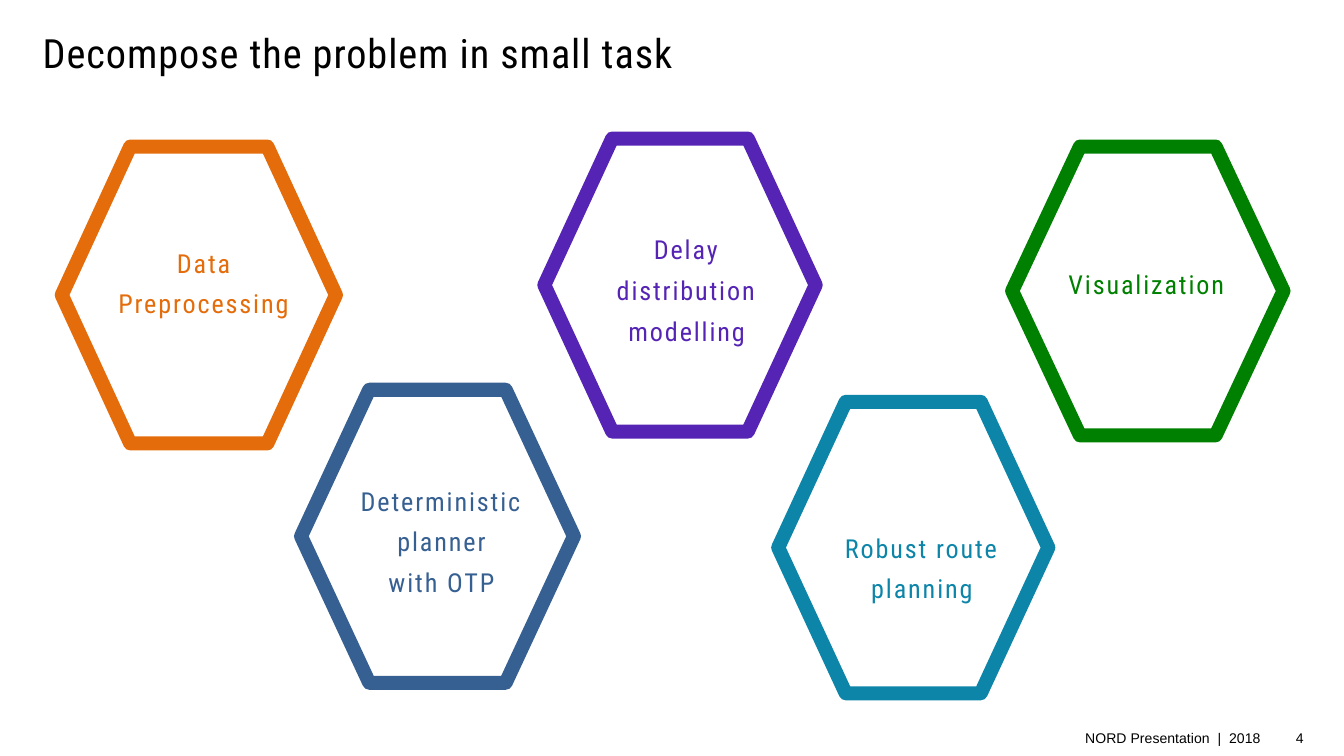
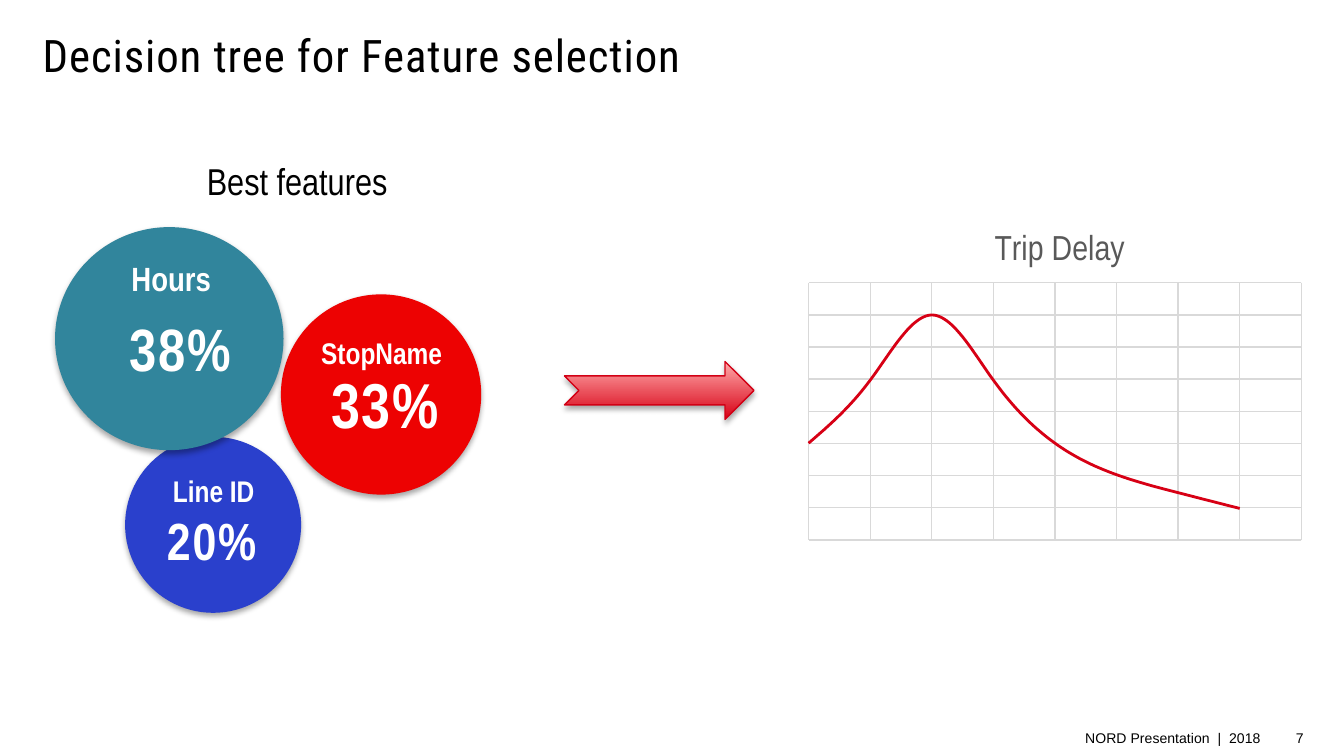
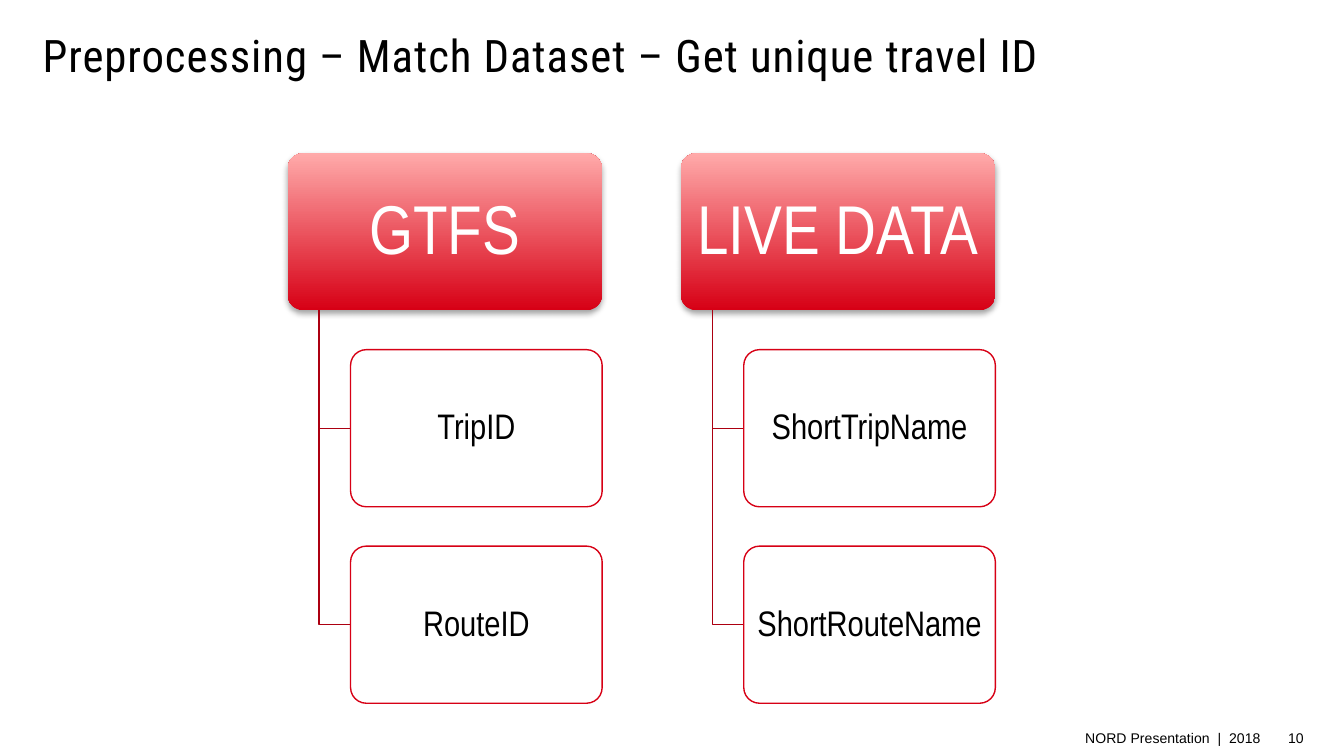
from dataclasses import dataclass
from typing import NamedTuple

from lxml import etree
from pptx import Presentation
from pptx import util as u
from pptx.chart.data import XyChartData
from pptx.dml.color import RGBColor
from pptx.enum import chart as charts, shapes, text
from pptx.oxml.ns import qn

HEADING_FONT = "Roboto Condensed"
BODY_FONT = "Arial Narrow"
FOOTER_FONT = "Arial"
BLACK, WHITE, RED = "000000", "FFFFFF", "D70015"
PINK, DARK_RED, ARROW_EDGE = "FFAAAA", "AC0011", "D20015"
GRID, CHART_TITLE = "D9D9D9", "595959"
CENTER, RIGHT = text.PP_ALIGN.CENTER, text.PP_ALIGN.RIGHT
MIDDLE = text.MSO_ANCHOR.MIDDLE
PRESET = shapes.MSO_SHAPE


class Box(NamedTuple):
    left: float
    top: float
    width: float
    height: float

    def emu(self) -> list:
        return [u.Pt(length) for length in self]

    def inset(self, gap: float) -> "Box":
        return Box(self.left + gap, self.top + gap, self.width - 2 * gap, self.height - 2 * gap)


@dataclass
class Task:
    label: str
    color: str
    hexagon: Box
    label_box: Box


@dataclass
class Feature:
    name: str
    share: str
    color: str
    circle: Box
    name_box: Box
    share_box: Box
    name_size: float
    share_size: float


@dataclass
class Dataset:
    name: str
    fields: tuple


TASKS = [
    Task("Robust route planning", "0D85A9", Box(416.9, 215.3, 144.7, 156.2), Box(426.2, 276.5, 135.4, 72)),
    Task("Deterministic planner\nwith OTP", "376092", Box(161.3, 208.8, 146.2, 157), Box(180.7, 251.3, 111.6, 72.7)),
    Task("Delay distribution modelling", "5524B4", Box(291.6, 74.2, 145.4, 157), Box(318.2, 116.6, 99.4, 72.7)),
    Task("Visualization", "008000", Box(542.2, 78.5, 145.4, 154.8), Box(540.7, 135.4, 146.9, 72)),
    Task("Data\nPreprocessing", "E46C0A", Box(33.1, 78.5, 146.9, 159.1), Box(36.7, 123.8, 144.7, 85)),
]
FEATURES = [
    Feature("Line ID", "20%", "2A40CC", Box(67, 234, 94.3, 94.3),
            Box(51.1, 249.8, 126.7, 31.7), Box(56.9, 268.6, 113, 61.9), 16, 28),
    Feature("StopName", "33%", "ED0202", Box(150.5, 157.7, 107.3, 107.3),
            Box(141.1, 175.7, 126.7, 31.7), Box(149.8, 192.2, 113, 61.2), 16, 34),
    Feature("Hours", "38%", "31859C", Box(29.5, 121.7, 122.4, 119.5),
            Box(53.3, 134.6, 77, 31), Box(58.3, 163.4, 76.3, 49.7), 18, 32),
]
DATASETS = [
    Dataset("GTFS", ("TripID", "RouteID")),
    Dataset("LIVE DATA", ("ShortTripName", "ShortRouteName")),
]
DELAYS = [43, 71, 100, 71, 43, 29, 21, 14]


def rgb(color: str) -> RGBColor:
    return RGBColor.from_string(color)


def add_text(slide, box: Box, content: str, *, size: float, font: str = BODY_FONT, color: str = BLACK,
             bold: bool = False, align=None, anchor=text.MSO_ANCHOR.TOP, spacing: float = 0,
             line_spacing: float = 1.0, before: float = 0, margins: tuple = (7.2, 3.6)) -> None:
    frame = slide.shapes.add_textbox(*box.emu()).text_frame
    frame.word_wrap = True
    frame.vertical_anchor = anchor
    frame.margin_left = frame.margin_right = u.Pt(margins[0])
    frame.margin_top = frame.margin_bottom = u.Pt(margins[1])
    for index, line in enumerate(content.split("\n")):
        paragraph = frame.add_paragraph() if index else frame.paragraphs[0]
        paragraph.alignment = align
        paragraph.line_spacing = line_spacing
        paragraph.space_before = u.Pt(before)
        run = paragraph.add_run()
        run.text = line
        run.font.name, run.font.size, run.font.bold = font, u.Pt(size), bold
        run.font.color.rgb = rgb(color)
        if spacing:
            run.font._element.set("spc", str(int(spacing * 100)))


def set_line(line, color: str, width: float) -> None:
    line.color.rgb = rgb(color)
    line.width = u.Pt(width)


def add_alpha(color_node, percent: int) -> None:
    etree.SubElement(color_node, qn("a:alpha")).set("val", str(percent * 1000))


def add_shadow(shape) -> None:
    effects = shape.element.spPr.find(qn("a:effectLst"))
    shadow = etree.SubElement(effects, qn("a:outerShdw"), blurRad=str(u.Pt(3.1)),
                              dist=str(u.Pt(1.8)), dir="5400000", rotWithShape="0")
    add_alpha(etree.SubElement(shadow, qn("a:srgbClr"), val=BLACK), 35)


def add_preset(slide, preset, box: Box, *, fill: str = "", opacity: int = 100, edge: str = "",
               edge_width: float = 0.75, shadow: bool = False, corner: float = 0):
    shape = slide.shapes.add_shape(preset, *box.emu())
    shape.shadow.inherit = False
    if fill:
        shape.fill.solid()
        shape.fill.fore_color.rgb = rgb(fill)
    else:
        shape.fill.gradient()
        shape.fill.gradient_angle = 90
        for stop, position, color in zip(shape.fill.gradient_stops, (0, 1), (RED, PINK)):
            stop.position = position
            stop.color.rgb = rgb(color)
    if opacity < 100:
        add_alpha(shape.element.spPr.find(f"{qn('a:solidFill')}/{qn('a:srgbClr')}"), opacity)
    if edge:
        set_line(shape.line, edge, edge_width)
    else:
        shape.line.fill.background()
    if shadow:
        add_shadow(shape)
    if corner:
        shape.adjustments[0] = corner
    return shape


def add_elbow(slide, left: float, top: float, right: float, bottom: float) -> None:
    builder = slide.shapes.build_freeform(u.Pt(left), u.Pt(top))
    builder.add_line_segments([(u.Pt(left), u.Pt(bottom)), (u.Pt(right), u.Pt(bottom))], close=False)
    elbow = builder.convert_to_shape()
    elbow.shadow.inherit = False
    elbow.fill.background()
    set_line(elbow.line, DARK_RED, 0.75)


def start_slide(deck, title: str, number: int, title_size: float = 24):
    slide = deck.slides.add_slide(deck.slide_layouts[6])
    add_text(slide, Box(15.8, 11.5, 688.3, 36.7), title, size=title_size, font=HEADING_FONT,
             spacing=0.5, before=12)
    for box, content in ((Box(679.7, 386.6, 22.3, 17.3), str(number)),
                         (Box(112.3, 386.6, 566.6, 17.3), "NORD Presentation  |  2018")):
        add_text(slide, box, content, size=7.5, font=FOOTER_FONT, align=RIGHT, anchor=MIDDLE,
                 margins=(3.6, 3.6))
    return slide


def set_layout(parent, index: int, **places) -> None:
    previous = parent.find(qn("c:layout"))
    if previous is not None:
        parent.remove(previous)
    layout = etree.Element(qn("c:layout"))
    manual = etree.SubElement(layout, qn("c:manualLayout"))
    for tag, value in places.items():
        etree.SubElement(manual, qn(f"c:{tag}")).set("val", str(value))
    parent.insert(index, layout)


def add_delay_chart(slide) -> None:
    data = XyChartData()
    delays = data.add_series("Series 1")
    for hour, delay in enumerate(DELAYS):
        delays.add_data_point(hour, delay)
    kind = charts.XL_CHART_TYPE.XY_SCATTER_SMOOTH_NO_MARKERS
    chart = slide.shapes.add_chart(kind, *Box(427.7, 111.6, 275, 181.4).emu(), data).chart
    chart.has_legend = False
    chart.font.name, chart.font.size = BODY_FONT, u.Pt(10)
    chart.font.color.rgb = rgb(BLACK)

    chart.has_title = True
    heading = chart.chart_title.text_frame.paragraphs[0].add_run()
    heading.text = "Trip Delay"
    heading.font.name, heading.font.size, heading.font.bold = BODY_FONT, u.Pt(18.6), False
    heading.font.color.rgb = rgb(CHART_TITLE)
    chart.chart_title.include_in_layout = False

    for axis, step in ((chart.category_axis, 1), (chart.value_axis, 14.29)):
        axis.minimum_scale, axis.maximum_scale, axis.major_unit = 0, step * 8, step
        axis.has_major_gridlines = True
        set_line(axis.major_gridlines.format.line, GRID, 0.75)
        axis.visible = False

    plot = chart.plots[0]
    plot.vary_by_categories = False
    curve = plot.series[0]
    set_line(curve.format.line, RED, 1.5)
    curve.marker.style = charts.XL_MARKER_STYLE.NONE
    smooth = curve._element.find(qn("c:smooth"))
    if smooth is None:
        smooth = etree.SubElement(curve._element, qn("c:smooth"))
    smooth.set("val", "1")

    root = chart._chartSpace
    set_layout(root.find(f".//{qn('c:title')}"), 1, xMode="edge", yMode="edge", x=0.37, y=0.05)
    set_layout(root.find(f".//{qn('c:plotArea')}"), 0, layoutTarget="inner", xMode="edge",
               yMode="edge", x=0.02, y=0.22, w=0.96, h=0.76)


def build_tasks(deck) -> None:
    slide = start_slide(deck, "Decompose the problem in small task", 4, title_size=21.6)
    for task in TASKS:
        add_preset(slide, PRESET.HEXAGON, task.hexagon, fill=WHITE, edge=task.color, edge_width=7.5)
    for task in TASKS:
        add_text(slide, task.label_box, task.label, size=14, font=HEADING_FONT, color=task.color,
                 align=CENTER, spacing=1, line_spacing=1.3)


def build_features(deck) -> None:
    slide = start_slide(deck, "Decision tree for Feature selection", 7)
    for feature in FEATURES:
        add_preset(slide, PRESET.OVAL, feature.circle, fill=feature.color, shadow=True)
        add_text(slide, feature.name_box, feature.name, size=feature.name_size, color=WHITE,
                 bold=True, align=CENTER)
        add_text(slide, feature.share_box, feature.share, size=feature.share_size, color=WHITE,
                 bold=True, align=CENTER, spacing=1)
    add_preset(slide, PRESET.NOTCHED_RIGHT_ARROW, Box(302.4, 193.7, 101.5, 31), edge=ARROW_EDGE,
               shadow=True)
    add_delay_chart(slide)
    add_text(slide, Box(103.7, 81.4, 195.8, 31.7), "Best features", size=20)


def build_datasets(deck) -> None:
    slide = start_slide(deck, "Preprocessing – Match Dataset – Get unique travel ID", 10)
    width, height, top = 168.5, 84.2, 82.1
    indent = width / 5
    for column, dataset in enumerate(DATASETS):
        left = 154.1 + column * width * 1.25
        header = Box(left, top, width, height)
        add_preset(slide, PRESET.ROUNDED_RECTANGLE, header, shadow=True, corner=0.1)
        add_text(slide, header.inset(2.5), dataset.name, size=37, color=WHITE, align=CENTER,
                 anchor=MIDDLE, line_spacing=0.9, margins=(5, 3.6))
        for row, field in enumerate(dataset.fields, start=1):
            cell = Box(left + indent, top + row * height * 1.25, width - indent, height)
            add_elbow(slide, left + indent / 2, top + height, cell.left, cell.top + height / 2)
            add_preset(slide, PRESET.ROUNDED_RECTANGLE, cell, fill=WHITE, opacity=90, edge=RED,
                       corner=0.1)
            add_text(slide, cell.inset(2.5), field, size=19, align=CENTER, anchor=MIDDLE,
                     line_spacing=0.9, margins=(2.9, 2.2))


def main() -> None:
    deck = Presentation()
    deck.slide_width, deck.slide_height = u.Pt(720), u.Pt(405)
    build_tasks(deck)
    build_features(deck)
    build_datasets(deck)
    deck.save("out.pptx")


if __name__ == "__main__":
    main()
